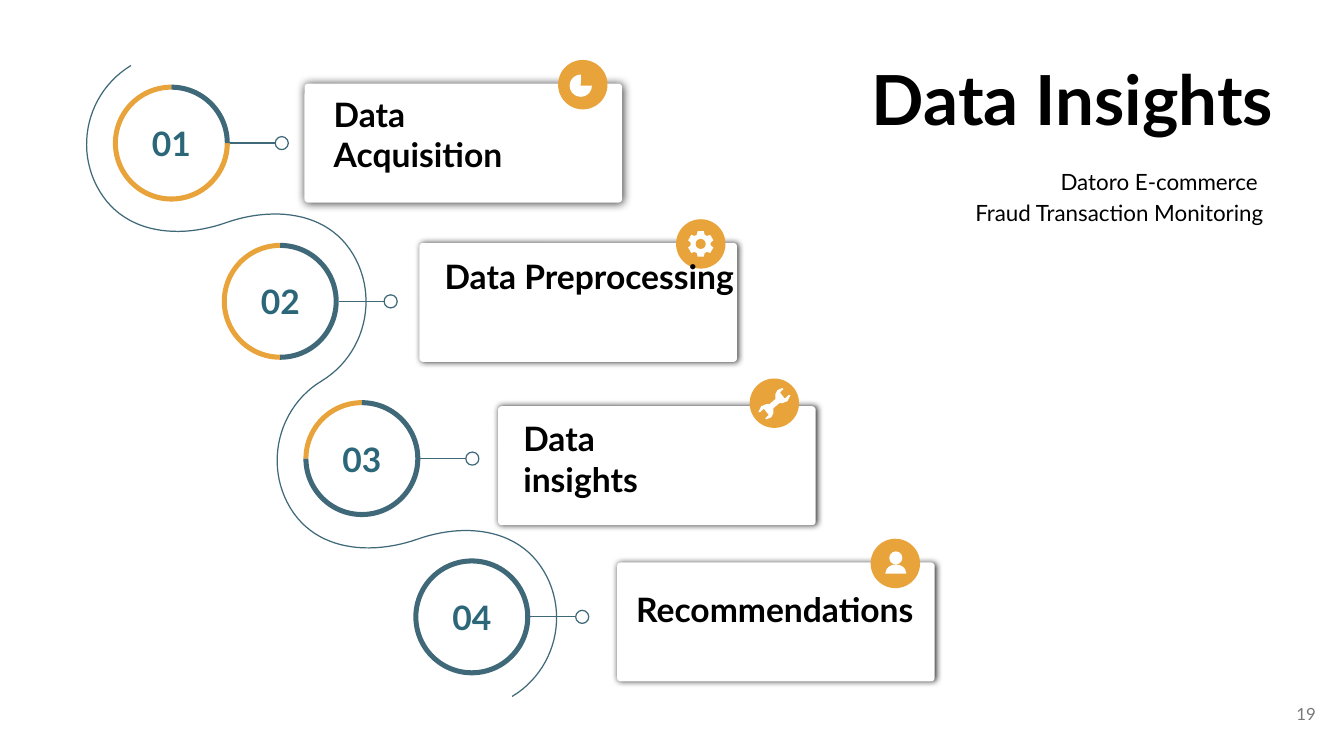
"""Build the Data Insights slide: four numbered steps along a winding line."""
from dataclasses import dataclass
from math import cos, radians, sin

from lxml.etree import SubElement
from pptx import Presentation
from pptx.dml.color import RGBColor as Rgb
from pptx.enum.shapes import MSO_CONNECTOR as Link, MSO_SHAPE as Kind
from pptx.enum.text import MSO_ANCHOR as Anchor, PP_ALIGN as Align
from pptx.oxml.ns import qn
from pptx.util import Inches, Pt


@dataclass(frozen=True)
class Theme:
    font: str = "Lato"
    teal: Rgb = Rgb(0x3F, 0x69, 0x79)
    deep: Rgb = Rgb(0x2B, 0x67, 0x78)
    gold: Rgb = Rgb(0xE8, 0xA3, 0x3A)
    white: Rgb = Rgb(255, 255, 255)
    black: Rgb = Rgb(0, 0, 0)
    gray: Rgb = Rgb(0x79, 0x79, 0x79)
    title: float = 49.3
    label: float = 24
    note: float = 16
    page: float = 12
    line: float = 0.88


theme = Theme()
deck = Presentation()
deck.slide_width, deck.slide_height = Inches(13.33), Inches(7.5)
slide = deck.slides.add_slide(deck.slide_layouts[6])
shapes = slide.shapes


def paint(shape, fill=None, line=None):
    """Set fill and line, and drop the shadow."""
    shape.shadow.inherit = False
    for part, color in ((shape.fill, fill), (shape.line.fill, line)):
        if color is None:
            part.background()
        else:
            part.solid()
            part.fore_color.rgb = color
    if line is not None:
        shape.line.width = Pt(theme.line)
    return shape


def write(shape, lines, size, color=theme.black, bold=False, align=Align.LEFT,
          anchor=Anchor.TOP, pad=(0, 0, 0, 0), gap=0):
    """Fill a shape with formatted lines of text."""
    frame = shape.text_frame
    sides = ("margin_left", "margin_top", "margin_right", "margin_bottom")
    look = {"word_wrap": True, "vertical_anchor": anchor}
    look.update(zip(sides, map(Inches, pad)))
    for name, value in look.items():
        setattr(frame, name, value)
    frame.text = "\n".join(lines)
    for para in frame.paragraphs:
        para.alignment, para.space_before = align, Pt(gap)
        para.font.color.rgb = color
        for name, value in {"name": theme.font, "size": Pt(size), "bold": bold}.items():
            setattr(para.runs[0].font, name, value)
            setattr(para.font, name, value)
        para.runs[0].font.color.rgb = color


mid = (3.19, 3.78)
knots = [
    (1.3, 0.65), (0.87, 0.91), (0.73, 1.47), (0.99, 1.9), (1.25, 2.33),
    (1.79, 2.37), (2.24, 2.21), (2.7, 2.05), (3.24, 2.09), (3.5, 2.52),
    (3.76, 2.95), (3.62, 3.52), mid,
]
knots += [(2 * mid[0] - x, 2 * mid[1] - y) for x, y in knots[-2::-1]]
wave = [knots[0]]
for i in range(0, len(knots) - 1, 3):
    a, b, c, d = knots[i:i + 4]
    for step in range(1, 25):
        t = step / 24
        u = 1 - t
        wave.append(tuple(
            u ** 3 * a[k] + 3 * u * u * t * b[k] + 3 * u * t * t * c[k] + t ** 3 * d[k]
            for k in (0, 1)))
pen = shapes.build_freeform(Inches(wave[0][0]), Inches(wave[0][1]))
pen.add_line_segments([(Inches(x), Inches(y)) for x, y in wave[1:]], close=False)
paint(pen.convert_to_shape(), line=theme.teal)

rad, disc, dot, thick = 0.58, 0.82, 0.13, 0.05
wide, high, badge = 3.15, 1.18, 0.49
steps = [
    ((1.7, 1.42), (3.02, 0.83), (5.78, 0.84), (6.8, 29)),
    ((2.78, 2.99), (4.16, 2.41), (6.95, 2.42), (4.5, 6)),
    ((3.59, 4.55), (4.94, 4.03), (7.68, 4.0), (4.5, 6)),
    ((4.68, 6.12), (6.12, 5.58), (8.88, 5.59), (4.5, 6)),
]
for i, ((x, y), card, spot, (blur, turn)) in enumerate(steps):
    box = [Inches(v) for v in (x - rad, y - rad, 2 * rad, 2 * rad)]
    stop = 90 * i
    if stop == 270:
        ring = paint(shapes.add_shape(Kind.DONUT, *box), theme.teal)
        ring.adjustments[0] = thick / (2 * rad)
    else:
        for start, end, color in ((stop, 270, theme.gold), (270, stop, theme.teal)):
            arc = paint(shapes.add_shape(Kind.BLOCK_ARC, *box), color)
            for k, value in enumerate((start * 0.6, end * 0.6, thick / (2 * rad))):
                arc.adjustments[k] = value

    core = shapes.add_shape(Kind.OVAL, Inches(x - disc / 2), Inches(y - disc / 2),
                            Inches(disc), Inches(disc))
    write(paint(core, theme.white), [f"{i + 1:02}"], theme.label, theme.deep, True,
          Align.CENTER, Anchor.MIDDLE)

    tip = x + 1.03
    wire = shapes.add_connector(Link.STRAIGHT, Inches(x + rad), Inches(y),
                                Inches(tip), Inches(y))
    wire.line.color.rgb, wire.line.width = theme.teal, Pt(theme.line)
    SubElement(wire._element.spPr, qn("a:effectLst"))
    paint(shapes.add_shape(Kind.OVAL, Inches(tip), Inches(y - dot / 2),
                           Inches(dot), Inches(dot)), line=theme.teal)

    panel = paint(shapes.add_shape(Kind.ROUNDED_RECTANGLE, Inches(card[0]), Inches(card[1]),
                                   Inches(wide), Inches(high)), theme.white)
    panel.adjustments[0] = 0.03
    glow = SubElement(panel._element.spPr.find(qn("a:effectLst")), qn("a:outerShdw"),
                      blurRad=str(Pt(blur)), dist=str(Pt(0.8)), dir=str(turn * 60000),
                      algn="ctr", rotWithShape="0")
    tint = SubElement(glow, qn("a:srgbClr"), val=str(theme.black))
    SubElement(tint, qn("a:alpha"), val="79000")

    paint(shapes.add_shape(Kind.OVAL, Inches(spot[0] - badge / 2), Inches(spot[1] - badge / 2),
                           Inches(badge), Inches(badge)), theme.gold)

hub = (6.95, 2.42)
gear = [(hub[0] + r * sin(radians(60 * k + turn)), hub[1] - r * cos(radians(60 * k + turn)))
        for k in range(6)
        for turn, r in ((-22, 0.1), (-14, 0.13), (14, 0.13), (22, 0.1))]
half = [
    (7.76, 3.85), (7.71, 3.87), (7.69, 3.91), (7.69, 3.96), (7.63, 4.01),
    (7.6, 4.01), (7.55, 4.03), (7.52, 4.09), (7.54, 4.09), (7.57, 4.06),
    (7.58, 4.06), (7.62, 4.11), (7.62, 4.12), (7.59, 4.15),
]
wrench = half + [(15.36 - x, 8.01 - y) for x, y in half]
for path in (gear, wrench):
    pts = [(Inches(x), Inches(y)) for x, y in path]
    pen = shapes.build_freeform(*pts[0])
    pen.add_line_segments(pts[1:], close=True)
    paint(pen.convert_to_shape(), theme.white)

glyphs = [
    (Kind.PIE, (5.65, 0.74, 0.22, 0.22), theme.white, (0, 162)),
    (Kind.OVAL, (6.9, 2.37, 0.1, 0.1), theme.gold, ()),
    (Kind.OVAL, (8.82, 5.47, 0.13, 0.13), theme.white, ()),
    (Kind.CHORD, (8.78, 5.6, 0.21, 0.18), theme.white, (108, 0)),
]
for kind, box, color, turns in glyphs:
    glyph = paint(shapes.add_shape(kind, *map(Inches, box)), color)
    for k, value in enumerate(turns):
        glyph.adjustments[k] = value

head = {"size": theme.label, "bold": True}
right = {"align": Align.RIGHT}
texts = [
    ((7.41, 0.36, 5.22, 1.2), ["Data Insights"],
     {"size": theme.title, "bold": True, "pad": (0, 0.2, 0, 0), **right}),
    ((3.31, 0.93, 3, 0.28), ["Data", "Acquisition"], head),
    ((4.41, 2.54, 3, 0.28), ["Data Preprocessing"], head),
    ((5.19, 4.15, 3, 0.28), ["Data", "insights"], head),
    ((6.31, 5.84, 3, 0.28), ["Recommendations"], head),
    ((9.35, 1.57, 3.28, 0.88), ["Datoro E-commerce ", "Fraud Transaction Monitoring"],
     {"size": theme.note, "pad": (0.1,) * 4, "gap": 3, **right}),
    ((12.35, 6.8, 0.8, 0.57), ["19"],
     {"size": theme.page, "color": theme.gray, "anchor": Anchor.MIDDLE,
      "pad": (0.1,) * 4, **right}),
]
for box, lines, look in texts:
    write(shapes.add_textbox(*map(Inches, box)), lines, **look)

deck.save("out.pptx")
